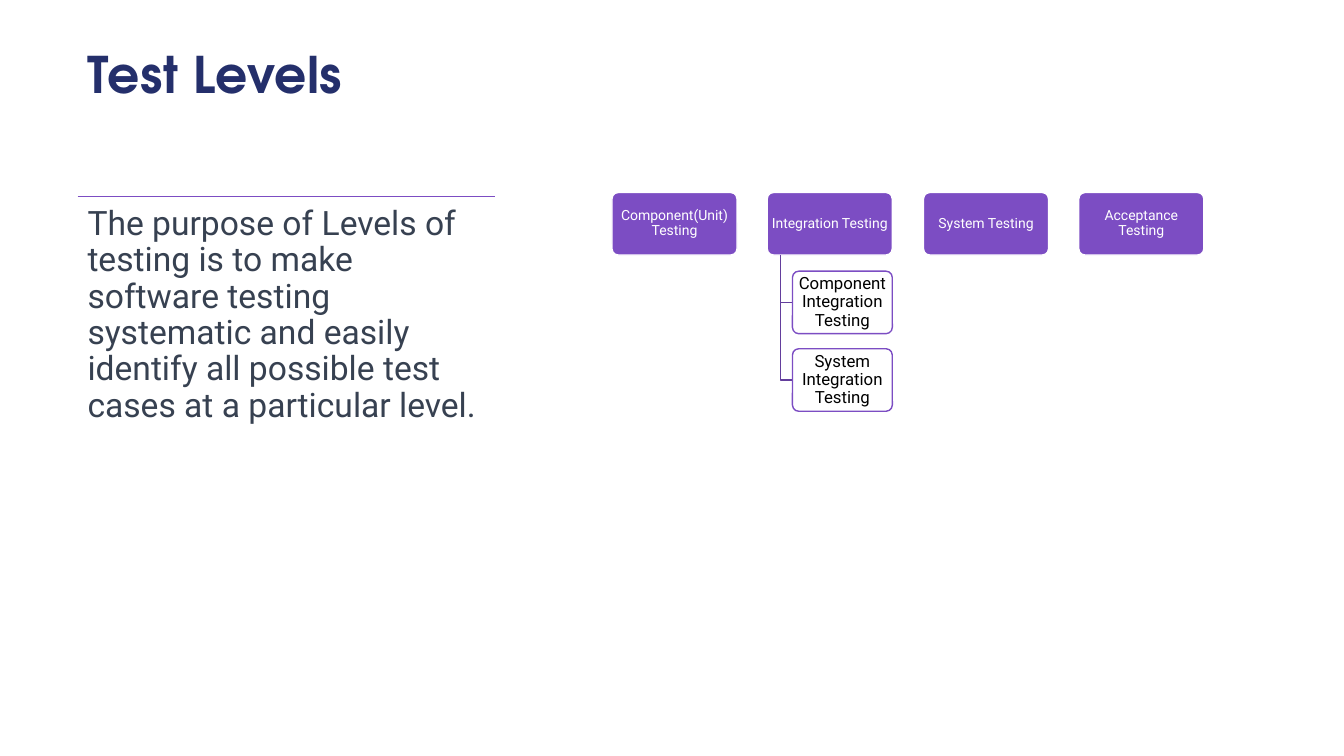
from dataclasses import dataclass

from lxml import etree
from pptx import Presentation
from pptx.dml.color import RGBColor
from pptx.enum.shapes import MSO_CONNECTOR as LINK, MSO_SHAPE as SHAPE
from pptx.enum.text import MSO_ANCHOR as ANCHOR, PP_ALIGN as ALIGN
from pptx.oxml.ns import qn
from pptx.util import Emu, Pt

PX = 9144  # EMU in one px, 100 px to the inch
COLORS = {
    "title": "242F6B", "body": "374151", "level": "7C4DC3",
    "branch": "633E9C", "white": "FFFFFF", "black": "000000",
}
SANS, HEAD = "Roboto", "TeX Gyre Adventor"
TOP, HIGH, WIDE, STEP = 191, 62, 124, 154.4
LEFT = 607
SUB_W, SUB_GAP, SUB_IN, STEM = 99, 15.5, 25, 13


@dataclass
class Font:
    name: str
    size: int
    color: str
    bold: bool = False


@dataclass
class Card:
    text: str
    left: int
    top: int
    width: int
    fill: str
    line: str
    font: Font
    pad: tuple[int, int]
    alpha: int = 100


def px(n: int) -> Emu:
    return Emu(n * PX)


def rgb(name: str) -> RGBColor:
    return RGBColor.from_string(COLORS[name])


def write(frame, text: str, font: Font, pad: tuple[int, int], align=ALIGN.LEFT):
    frame.word_wrap = True
    frame.margin_left = frame.margin_right = px(pad[0])
    frame.margin_top = frame.margin_bottom = px(pad[1])
    para = frame.paragraphs[0]
    para.alignment = align
    para.line_spacing = 0.9
    run = para.add_run()
    run.text = text
    run.font.name = font.name
    run.font.size = Pt(font.size)
    run.font.bold = font.bold
    run.font.color.rgb = rgb(font.color)
    return run


def stroke(shape, color: str) -> None:
    shape.line.color.rgb = rgb(color)
    shape.line.width = Pt(1)


def add_text(slide, box: tuple[int, int, int, int], text: str, font: Font, pad: tuple[int, int]):
    frame = slide.shapes.add_textbox(*map(px, box)).text_frame
    return write(frame, text, font, pad)


def add_rule(slide, left: int, top: int, width: int) -> None:
    rule = slide.shapes.add_connector(
        LINK.STRAIGHT, px(left), px(top), px(left + width), px(top))
    stroke(rule, "level")
    etree.SubElement(rule._element.spPr, qn("a:effectLst"))


def add_card(slide, card: Card) -> None:
    box = slide.shapes.add_shape(
        SHAPE.ROUNDED_RECTANGLE, px(card.left), px(card.top), px(card.width), px(HIGH))
    box.adjustments[0] = 0.1
    box.shadow.inherit = False
    box.fill.solid()
    box.fill.fore_color.rgb = rgb(card.fill)
    if card.alpha < 100:
        tint = box._element.spPr.find(".//" + qn("a:srgbClr"))
        etree.SubElement(tint, qn("a:alpha"), val=str(card.alpha * 1000))
    stroke(box, card.line)
    box.text_frame.vertical_anchor = ANCHOR.MIDDLE
    write(box.text_frame, card.text, card.font, card.pad, ALIGN.CENTER)


def add_elbow(slide, left: int, top: int, right: int, low: int) -> None:
    """Draw a branch that goes down, then right."""
    pen = slide.shapes.build_freeform(left, top, scale=PX)
    pen.add_line_segments([(left, low), (right, low)], close=False)
    elbow = pen.convert_to_shape()
    elbow.fill.background()
    elbow.shadow.inherit = False
    stroke(elbow, "branch")


def add_level(slide, index: int, name: str, parts: list[str]) -> None:
    """Draw one test level and the parts below it."""
    left = LEFT + round(index * STEP)
    add_card(slide, Card(name, left, TOP, WIDE, "level", "white",
                         Font(SANS, 10, "white"), (2, 1)))
    for row, part in enumerate(parts, 1):
        top = TOP + round(row * (HIGH + SUB_GAP))
        add_elbow(slide, left + STEM, TOP + HIGH, left + SUB_IN, top + HIGH // 2)
        add_card(slide, Card(part, left + SUB_IN, top, SUB_W, "white", "level",
                             Font(SANS, 12, "black"), (3, 2), alpha=90))


LEVELS = {
    "Component(Unit) Testing": [],
    "Integration Testing": ["Component Integration Testing", "System Integration Testing"],
    "System Testing": [],
    "Acceptance Testing": [],
}
PURPOSE = ("The purpose of Levels of testing is to make software testing systematic "
           "and easily identify all possible test cases at a particular level.")


def main() -> None:
    deck = Presentation()
    deck.slide_width, deck.slide_height = px(1333), px(750)
    slide = deck.slides.add_slide(deck.slide_layouts[6])
    title = add_text(slide, (77, 45, 1169, 150), "Test Levels",
                     Font(HEAD, 36, "title", bold=True), (10, 5))
    title.font._element.set("spc", "30")
    add_rule(slide, 77, 195, 414)
    add_text(slide, (77, 195, 414, 411), PURPOSE, Font(SANS, 24, "body"), (10, 10))
    for index, (name, parts) in enumerate(LEVELS.items()):
        add_level(slide, index, name, parts)
    deck.save("out.pptx")


if __name__ == "__main__":
    main()
